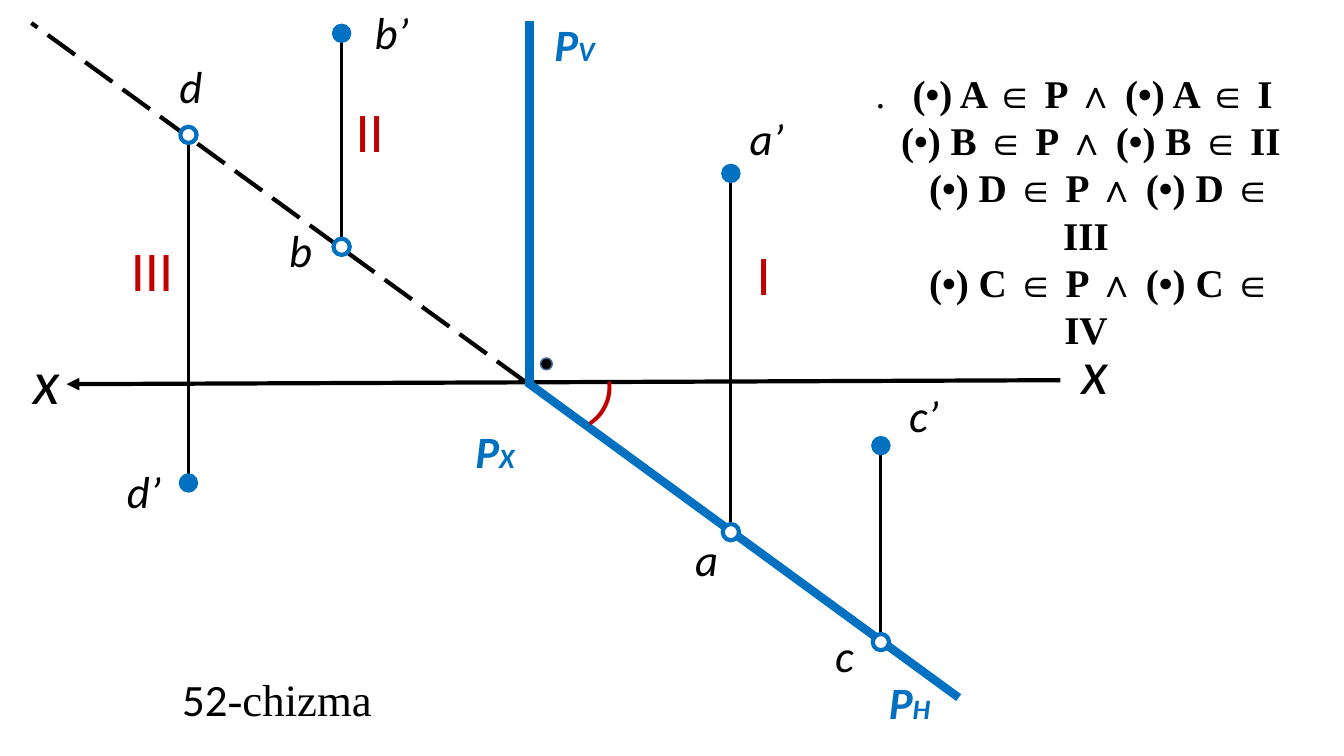
from lxml.etree import SubElement
from pptx import Presentation
from pptx.dml.color import RGBColor
from pptx.enum.dml import MSO_LINE
from pptx.enum.shapes import MSO_CONNECTOR, MSO_SHAPE
from pptx.enum.text import PP_ALIGN
from pptx.oxml.ns import qn
from pptx.util import Cm, Pt

HUES = {"ink": "000000", "blue": "0070C0", "red": "C00000",
        "white": "FFFFFF", "rim": "43739E"}
RGB = {name: RGBColor.from_string(code) for name, code in HUES.items()}
SANS, SERIF = "Calibri", "Times New Roman"

deck = Presentation()
deck.slide_width, deck.slide_height = Cm(33.87), Cm(19.05)
slide = deck.slides.add_slide(deck.slide_layouts[6])
shapes = slide.shapes


def write(para, text, hue, form):
    """Add a run whose font takes every value in form."""
    run = para.add_run()
    run.text = text
    run.font.color.rgb = RGB[hue]
    for key, value in form.items():
        setattr(run.font, key, value)


def draw(start, end, hue, width):
    """Add a plain line between two points in centimetres."""
    line = shapes.add_connector(
        MSO_CONNECTOR.STRAIGHT, *[Cm(v) for v in start + end])
    line.line.color.rgb = RGB[hue]
    line.line.width = Pt(width)
    SubElement(line._element.spPr, qn("a:effectLst"))
    return line


# Axis and traces of the plane
axis = draw((26.72, 9.58), (1.68, 9.68), "ink", 3)
SubElement(axis.line._get_or_add_ln(), qn("a:tailEnd"), type="triangle")
draw((13.28, 9.63), (24.16, 17.58), "blue", 6)
draw((13.34, 0.53), (13.34, 9.68), "blue", 6)
trace = draw((13.21, 9.6), (0.79, 0.58), "ink", 3)
trace.line.dash_style = MSO_LINE.LONG_DASH

# Points: x, height of the front view, height of the top view
points = [(18.42, 4.37, 13.41), (8.61, 0.84, 6.22),
          (22.2, 11.23, 16.18), (4.75, 12.17, 3.4)]
dots = [(13.77, 9.17, 0.3, "ink", "rim", 1)]
for x, front, top in points:
    draw((x, front), (x, top), "ink", 2.25)
    dots += [(x, front, 0.41, "blue", "blue", 2.25),
             (x, top, 0.41, "white", "blue", 3)]
for x, y, size, fill, edge, width in dots:
    dot = shapes.add_shape(MSO_SHAPE.OVAL, Cm(x - size / 2),
                           Cm(y - size / 2), Cm(size), Cm(size))
    dot.shadow.inherit = False
    dot.fill.solid()
    dot.fill.fore_color.rgb = RGB[fill]
    dot.line.color.rgb = RGB[edge]
    dot.line.width = Pt(width)

# Labels: left, top, width, height, turn, runs
name = {"name": SANS, "size": Pt(32), "italic": True}
plane = name | {"bold": True}
small = plane | {"size": Pt(20)}
big = name | {"size": Pt(44)}
mark = {"name": SANS, "size": Pt(40)}
plain = {"name": SANS, "size": Pt(32)}
labels = [(x, y, 1.1, 2.13, 0, [("x", "ink", big)])
          for x, y in [(0.58, 8.51), (27, 8.26)]]
labels += [(x, y, 1.52, 1.63, 0, [(text, "ink", name)]) for text, x, y in [
    ("a’", 18.64, 2.67), ("a", 17.27, 13.28), ("b’", 9.19, 0),
    ("b", 7.04, 5.49), ("c’", 22.66, 9.65), ("c", 20.8, 15.7),
    ("d’", 2.95, 11.56), ("d", 4.27, 1.35)]]
labels += [(x, y, 2.26, 1.63, 0, [("P", "blue", plane), (sub, "blue", small)])
           for sub, x, y in [("H", 22.15, 16.87), ("V", 13.72, 0.3),
                             ("X", 11.73, 10.54)]]
labels += [(x, y, width, 1.96, turn, [(text, "red", mark)])
           for text, x, y, width, turn in [
               ("(", 14.66, 9.35, 0.97, 204.9), ("I", 18.82, 5.92, 0.9, 0),
               ("II", 8.71, 2.31, 1.4, 0), ("III", 3.05, 5.82, 1.8, 0)]]
labels.append((4.34, 16.79, 5.6, 1.63, 0, [
    ("52", "ink", plain), ("-chizma", "ink", plain | {"name": SERIF})]))
for x, y, width, height, turn, runs in labels:
    box = shapes.add_textbox(Cm(x), Cm(y), Cm(width), Cm(height))
    box.rotation = turn
    box.text_frame.word_wrap = True
    for run in runs:
        write(box.text_frame.paragraphs[0], *run)

# Which quarter holds each point
light = {"name": SERIF, "size": Pt(28)}
bold = light | {"bold": True}
proof = shapes.add_textbox(Cm(21.82), Cm(1.63), Cm(11.1), Cm(5.05)).text_frame
proof.word_wrap = True
para = proof.paragraphs[0]
para.alignment = PP_ALIGN.JUSTIFY
tabs = SubElement(para._p.get_or_add_pPr(), qn("a:tabLst"))
SubElement(tabs, qn("a:tab"), pos=str(Cm(0.93)), algn="l")
write(para, ".\t", "ink", light)
write(para, "(•) A ∈ P ∧ (•) A ∈ I", "ink", bold)
for text, indent in [("(•) B ∈ P ∧ (•) B ∈ II", 0.25),
                     ("(•) D ∈ P ∧ (•) D ∈ III", 0.75),
                     ("(•) C ∈ P ∧ (•) C ∈ IV", 0.75)]:
    para = proof.add_paragraph()
    para.alignment = PP_ALIGN.CENTER
    para._p.get_or_add_pPr().set("indent", str(Cm(indent)))
    write(para, text, "ink", bold)

deck.save("out.pptx")
